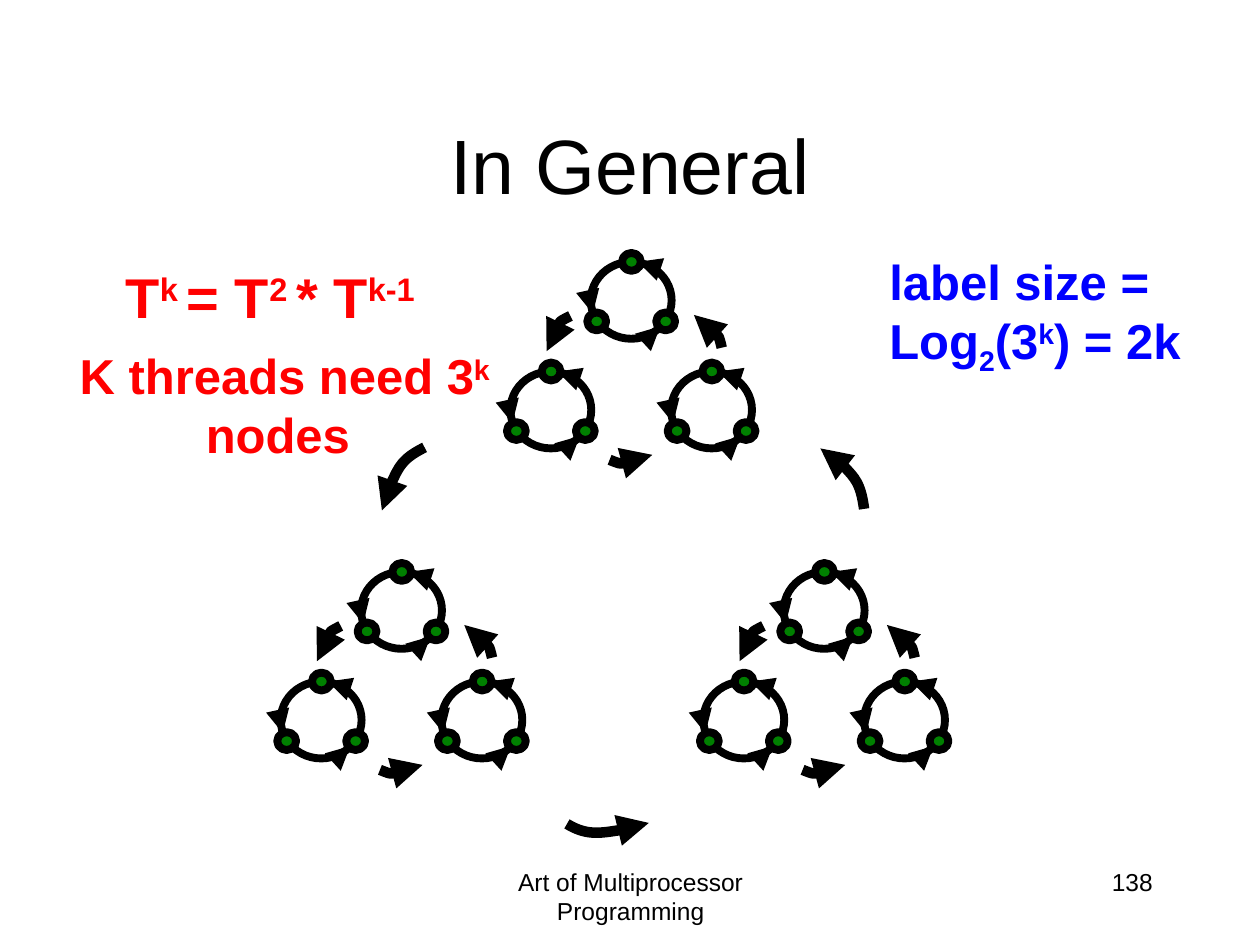
from lxml.etree import SubElement
from pptx import Presentation
from pptx.dml.color import RGBColor
from pptx.enum.shapes import MSO_CONNECTOR as CONN, MSO_SHAPE as SHAPE
from pptx.enum.text import MSO_ANCHOR as ANCHOR, PP_ALIGN as ALIGN
from pptx.oxml.ns import qn
from pptx.util import Cm, Pt

BLACK, WHITE, RED, GREEN, BLUE = "000000", "FFFFFF", "FF0000", "008000", "0000FF"
SUPER, SUB = 30000, -25000

# Ring parts, in cm from the ring's top left corner
RING_SIZE = (1.63, 1.55)
NODE_SIZE = (0.38, 0.36)
NODES = [(0.63, -0.18), (1.32, 1.02), (-0.07, 1.02)]
RING_ARROWS = [((0, 0.86), (0.04, 1.04)),
               ((1.27, 1.42), (1.4, 1.3)),
               ((1.19, 0.08), (0.95, 0))]

# Cluster parts, in cm from the top ring's corner; a curve is start, two handles, end
LOWER_RINGS = [(-1.62, 2.21), (1.62, 2.21)]
CLUSTER_CURVES = [
    [(-0.41, 1.09), (-0.71, 1.24), (-0.8, 1.48), (-0.89, 1.8)],
    [(2.64, 1.73), (2.57, 1.43), (2.37, 1.22), (2.08, 1.07)],
    [(0.38, 3.99), (0.65, 4.1), (0.95, 4.08), (1.24, 3.89)],
]

# Whole diagram, in cm on the slide
CLUSTERS = [(15.8, 11.53), (7.28, 11.53), (11.91, 5.28)]
OUTER_CURVES = [
    [(8.56, 9.02), (8.1, 9.25), (7.85, 9.68), (7.7, 10.29)],
    [(17.42, 10.26), (17.35, 9.73), (17, 9.27), (16.54, 9.04)],
    [(11.43, 16.61), (11.81, 16.84), (12.4, 16.81), (13.08, 16.59)],
]


def rgb(color):
    return RGBColor.from_string(color)


def shift(origin, point):
    return origin[0] + point[0], origin[1] + point[1]


def set_line(sp, width, arrow=False):
    sp.line.color.rgb = rgb(BLACK)
    sp.line.width = Pt(width)
    if arrow:
        ln = sp._element.spPr.find(qn("a:ln"))
        SubElement(ln, qn("a:tailEnd"), type="triangle")


def add_oval(shapes, at, size, fill):
    sp = shapes.add_shape(SHAPE.OVAL, *map(Cm, at + size))
    sp.shadow.inherit = False
    sp.fill.solid()
    sp.fill.fore_color.rgb = rgb(fill)
    set_line(sp, 4.5)


def add_arrow(shapes, start, end):
    cxn = shapes.add_connector(CONN.STRAIGHT, *map(Cm, start + end))
    set_line(cxn, 4.5, arrow=True)
    SubElement(cxn._element.spPr, qn("a:effectLst"))


def add_curve(shapes, points, origin=(0, 0)):
    start, *rest = [tuple(map(Cm, shift(origin, p))) for p in points]
    builder = shapes.build_freeform(*start)
    builder.add_line_segments(rest, close=False)
    sp = builder.convert_to_shape()
    sp.shadow.inherit = False
    sp.fill.background()
    set_line(sp, 6, arrow=True)
    # Turn the three straight segments into one cubic curve
    outline = sp._element.find(".//" + qn("a:path"))
    segments = outline.findall(qn("a:lnTo"))
    cubic = SubElement(outline, qn("a:cubicBezTo"))
    for seg in segments:
        cubic.append(seg[0])
        outline.remove(seg)


def add_ring(shapes, at):
    add_oval(shapes, at, RING_SIZE, WHITE)
    for node in NODES:
        add_oval(shapes, shift(at, node), NODE_SIZE, GREEN)
    for start, end in RING_ARROWS:
        add_arrow(shapes, shift(at, start), shift(at, end))


def add_cluster(slide, at):
    shapes = slide.shapes.add_group_shape().shapes
    for ring in LOWER_RINGS:
        add_ring(shapes, shift(at, ring))
    for curve in CLUSTER_CURVES:
        add_curve(shapes, curve, at)
    add_ring(shapes, at)


def format_run(r, size, color, bold=False):
    r.font.name = "Arial"
    r.font.size = Pt(size)
    r.font.bold = bold
    r.font.color.rgb = rgb(color)


def add_text(slide, box, lines, size, color, align, bold=False):
    """Each line is a list of (text, baseline) pairs."""
    tf = slide.shapes.add_textbox(*map(Cm, box)).text_frame
    tf.word_wrap = True
    for i, line in enumerate(lines):
        p = tf.add_paragraph() if i else tf.paragraphs[0]
        p.alignment = align
        for text, baseline in line:
            r = p.add_run()
            r.text = text
            format_run(r, size, color, bold)
            if baseline:
                r.font._element.set("baseline", str(baseline))


def set_title(slide, text):
    sp = slide.shapes.title
    sp.left, sp.top, sp.width, sp.height = map(Cm, (1.9, 1.7, 21.6, 3.18))
    tf = sp.text_frame
    tf.text = text
    tf.vertical_anchor = ANCHOR.MIDDLE
    p = tf.paragraphs[0]
    p.alignment = ALIGN.CENTER
    format_run(p.runs[0], 44, BLACK)


def main():
    prs = Presentation()
    prs.slide_width, prs.slide_height = Cm(25.4), Cm(19.05)
    slide = prs.slides.add_slide(prs.slide_layouts[5])
    set_title(slide, "In General")

    # Footer and slide number
    add_text(slide, (8.69, 17.35, 8.05, 1.27),
             [[("Art of Multiprocessor Programming", 0)]], 14, BLACK, ALIGN.CENTER)
    add_text(slide, (18.21, 17.35, 5.28, 1.27), [[("138", 0)]], 14, BLACK, ALIGN.RIGHT)

    # Nested rings
    for at in CLUSTERS:
        add_cluster(slide, at)
    for curve in OUTER_CURVES:
        add_curve(slide.shapes, curve)

    # Formulas
    add_text(slide, (1.81, 5.16, 6.8, 1.63),
             [[("T", 0), ("k ", SUPER), ("= T", 0), ("2 ", SUPER),
               ("* T", 0), ("k-1", SUPER)]],
             32, RED, ALIGN.RIGHT, bold=True)
    add_text(slide, (0.94, 6.85, 9.6, 2.64),
             [[("K threads need 3", 0), ("k ", SUPER), ("nodes ", 0)]],
             28, RED, ALIGN.CENTER, bold=True)
    add_text(slide, (17.68, 4.95, 6.5, 2.79),
             [[("label size =", 0)],
              [("Log", 0), ("2", SUB), ("(3", 0), ("k", SUPER), (") = 2k", 0)]],
             28, BLUE, ALIGN.LEFT, bold=True)

    prs.save("out.pptx")


if __name__ == "__main__":
    main()
